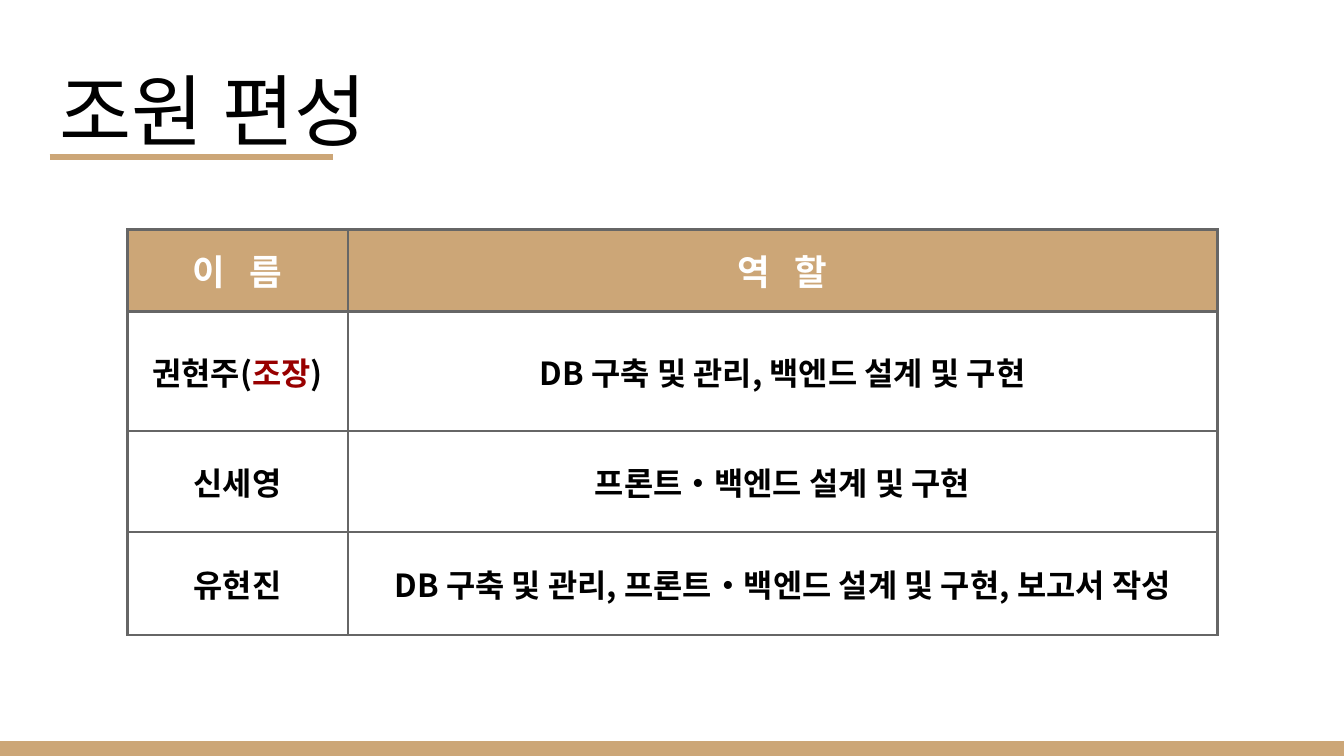
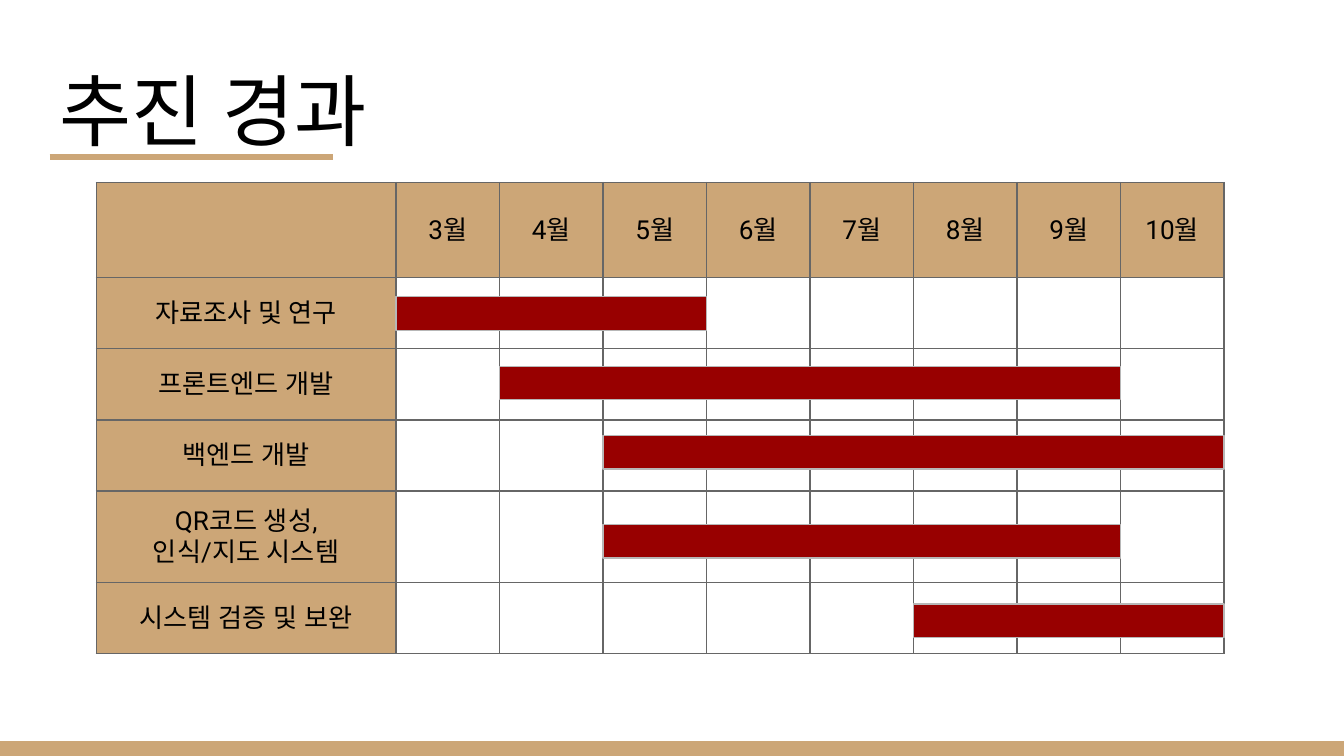
from dataclasses import dataclass

import lxml.etree
import pptx
import pptx.dml.color
import pptx.enum.shapes
import pptx.enum.text
import pptx.oxml.ns
import pptx.util

Pt = pptx.util.Pt
qn = pptx.oxml.ns.qn

TAN, RED, GREY, SILVER = "CCA677", "980000", "666666", "B7B7B7"
BLACK, WHITE = "000000", "FFFFFF"
ROBOTO, NOTO = "Roboto", "Noto Sans CJK KR"
WIDTH, HEIGHT, BAND_HEIGHT = 720, 405, 7.9
INSET = 7.2

MONTHS = range(3, 11)
SCHEDULE_LEFT, SCHEDULE_TOP = 51.6, 97.8
TASK_WIDTH, MONTH_WIDTH = 160.6, 55.45
BAR_HEIGHT = 18


@dataclass(frozen=True)
class Run:
    text: str
    color: str = BLACK


@dataclass(frozen=True)
class Cell:
    runs: tuple[Run, ...] = ()
    fill: str | None = None
    size: float = 14
    font: str = ROBOTO
    bold: bool = False
    spacing: float = 0


@dataclass(frozen=True)
class Task:
    name: str
    row_height: float
    first_month: int
    last_month: int
    bar_top: float


TASKS = [
    Task("자료조사 및 연구", 38.1, 3, 5, 159),
    Task("프론트엔드 개발", 38.1, 4, 9, 196.2),
    Task("백엔드 개발", 38.1, 5, 10, 233.2),
    Task("QR코드 생성,\v인식/지도 시스템", 49, 5, 9, 281),
    Task("시스템 검증 및 보완", 38.1, 8, 10, 323.6),
]

MEMBERS = [
    ((Run("권현주("), Run("조장", RED), Run(")")), "DB 구축 및 관리, 백엔드 설계 및 구현"),
    ((Run("신세영"),), "프론트•백엔드 설계 및 구현"),
    ((Run("유현진"),), "DB 구축 및 관리, 프론트•백엔드 설계 및 구현, 보고서 작성"),
]


def rgb(color: str) -> pptx.dml.color.RGBColor:
    return pptx.dml.color.RGBColor.from_string(color)


def add_text(p, text: str, *, size: float, font: str, color: str = BLACK,
             bold: bool = False, spacing: float = 0) -> None:
    for i, part in enumerate(text.split("\v")):
        if i:
            p.add_line_break()
        r = p.add_run()
        r.text = part
        r.font.size, r.font.bold, r.font.name = Pt(size), bold, font
        r.font.color.rgb = rgb(color)
        r_pr = r.font._element
        latin = r_pr.find(qn("a:latin"))
        ea = lxml.etree.Element(qn("a:ea"), typeface=font)
        latin.addnext(ea)
        if spacing:
            r_pr.set("spc", str(round(spacing * 100)))


def set_margins(tf) -> None:
    tf.margin_left = tf.margin_right = tf.margin_top = tf.margin_bottom = Pt(INSET)


def add_rect(s, left: float, top: float, width: float, height: float,
             fill: str, line: str | None = None):
    sp = s.shapes.add_shape(pptx.enum.shapes.MSO_SHAPE.RECTANGLE,
                            Pt(left), Pt(top), Pt(width), Pt(height))
    sp.shadow.inherit = False
    sp.fill.solid()
    sp.fill.fore_color.rgb = rgb(fill)
    if line:
        sp.line.color.rgb = rgb(line)
        sp.line.width = Pt(0.75)
    else:
        sp.line.fill.background()
    return sp


def add_underline(s) -> None:
    line = s.shapes.add_connector(pptx.enum.shapes.MSO_CONNECTOR.STRAIGHT,
                                  Pt(26.6), Pt(84.2), Pt(178.6), Pt(84.2))
    line.line.color.rgb = rgb(TAN)
    line.line.width = Pt(3)
    lxml.etree.SubElement(line.element.spPr, qn("a:effectLst"))


def add_titled_slide(prs, layout, title: str):
    s = prs.slides.add_slide(layout)
    sp = s.shapes.title
    sp.left, sp.top, sp.width, sp.height = Pt(24.5), Pt(25.2), Pt(671), Pt(65.5)
    tf = sp.text_frame
    set_margins(tf)
    tf.auto_size = pptx.enum.text.MSO_AUTO_SIZE.NONE
    tf.vertical_anchor = pptx.enum.text.MSO_ANCHOR.BOTTOM
    p = tf.paragraphs[0]
    p.alignment = pptx.enum.text.PP_ALIGN.LEFT
    add_text(p, title, size=42, font=ROBOTO)
    add_underline(s)
    return s


def set_borders(cell, width: float) -> None:
    tc_pr = cell._tc.get_or_add_tcPr()
    for i, side in enumerate(("a:lnL", "a:lnR", "a:lnT", "a:lnB")):
        ln = lxml.etree.Element(qn(side), w=str(Pt(width)))
        fill = lxml.etree.SubElement(ln, qn("a:solidFill"))
        lxml.etree.SubElement(fill, qn("a:srgbClr"), val=GREY)
        tc_pr.insert(i, ln)


def add_grid(s, left: float, top: float, cols: list[float], rows: list[float],
             cells: list[list[Cell]], border: float) -> None:
    table = s.shapes.add_table(len(rows), len(cols), Pt(left), Pt(top),
                               Pt(sum(cols)), Pt(sum(rows))).table
    table.first_row = table.horz_banding = False
    for column, width in zip(table.columns, cols):
        column.width = Pt(width)
    for row, height, row_cells in zip(table.rows, rows, cells):
        row.height = Pt(height)
        for cell, content in zip(row.cells, row_cells):
            set_margins(cell)
            cell.vertical_anchor = pptx.enum.text.MSO_ANCHOR.MIDDLE
            if content.fill:
                cell.fill.solid()
                cell.fill.fore_color.rgb = rgb(content.fill)
            else:
                cell.fill.background()
            set_borders(cell, border)
            p = cell.text_frame.paragraphs[0]
            p.alignment = pptx.enum.text.PP_ALIGN.CENTER
            for run in content.runs:
                add_text(p, run.text, size=content.size, font=content.font,
                         color=run.color, bold=content.bold, spacing=content.spacing)


def build_members(s) -> None:
    cells = [[Cell((Run(text, WHITE),), TAN, 19, NOTO, True, 4.5)
              for text in ("이 름", "역 할")]]
    for name, role in MEMBERS:
        cells.append([Cell(runs, None, 17, NOTO, True)
                      for runs in (name, (Run(role),))])
    add_grid(s, 68.2, 123, [118.2, 465.8], [44, 54, 54, 55.3], cells, 1.5)


def build_schedule(s) -> None:
    cells = [[Cell(fill=TAN)] + [Cell((Run(f"{month}월"),), TAN) for month in MONTHS]]
    for task in TASKS:
        cells.append([Cell((Run(task.name),), TAN)] + [Cell() for _ in MONTHS])
    add_grid(s, SCHEDULE_LEFT, SCHEDULE_TOP,
             [TASK_WIDTH] + [MONTH_WIDTH] * len(MONTHS),
             [51] + [task.row_height for task in TASKS], cells, 0.75)
    for task in TASKS:
        start = task.first_month - MONTHS[0]
        span = task.last_month - task.first_month + 1
        add_rect(s, SCHEDULE_LEFT + TASK_WIDTH + start * MONTH_WIDTH, task.bar_top,
                 span * MONTH_WIDTH, BAR_HEIGHT, RED, SILVER)


def main() -> None:
    prs = pptx.Presentation()
    prs.slide_width, prs.slide_height = Pt(WIDTH), Pt(HEIGHT)
    layout = prs.slide_layouts[5]

    s = add_titled_slide(prs, layout, "조원 편성")
    band = add_rect(s, 0, HEIGHT - BAND_HEIGHT, WIDTH, BAND_HEIGHT, TAN)
    layout.shapes.element.append(band.element)
    build_members(s)

    s = add_titled_slide(prs, layout, "추진 경과")
    build_schedule(s)

    prs.save("out.pptx")


if __name__ == "__main__":
    main()
